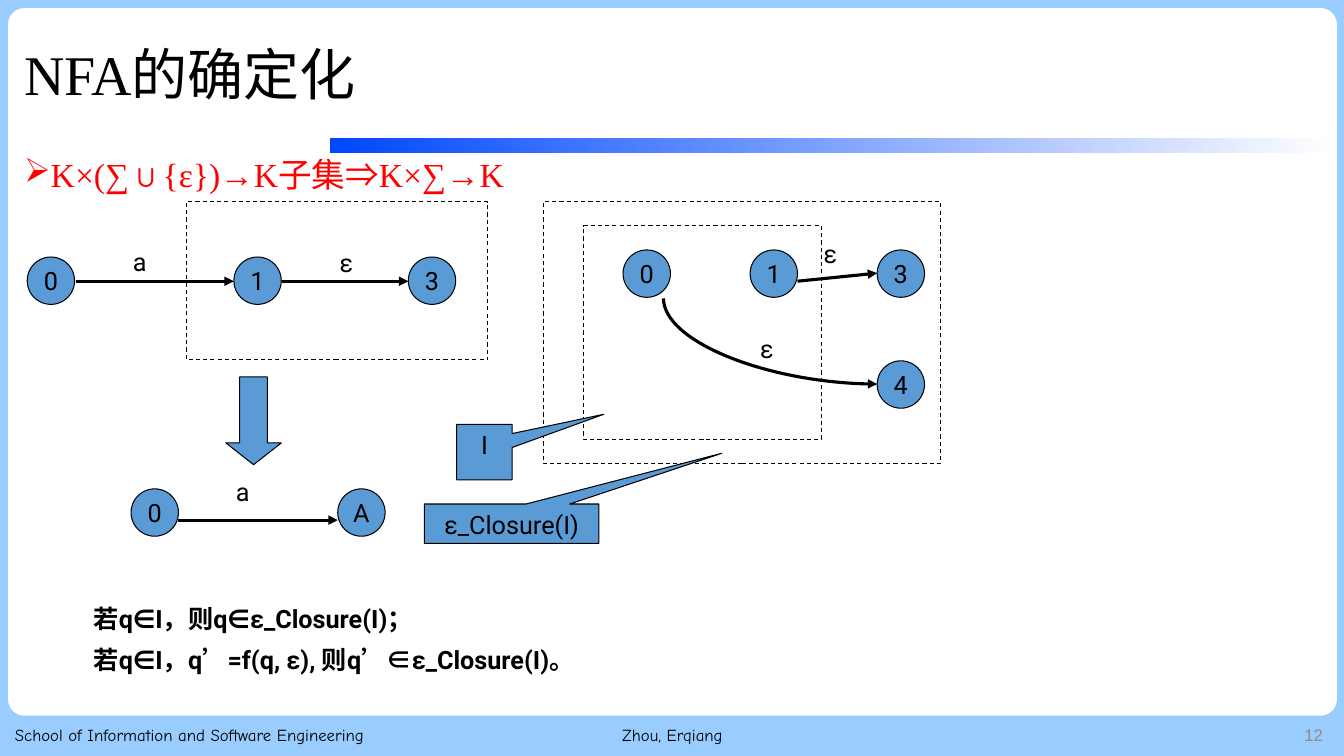
from lxml import etree
from pptx import Presentation
from pptx.dml.color import RGBColor
from pptx.enum.dml import MSO_LINE
from pptx.enum.shapes import MSO_CONNECTOR, MSO_SHAPE
from pptx.enum.text import MSO_ANCHOR, PP_ALIGN
from pptx.oxml.ns import qn
from pptx.util import Inches, Pt

BLACK = RGBColor(0x00, 0x00, 0x00)
WHITE = RGBColor(0xFF, 0xFF, 0xFF)
RED = RGBColor(0xFF, 0x00, 0x00)
GRAY = RGBColor(0x8C, 0x8C, 0x8C)
SKY = RGBColor(0x99, 0xCC, 0xFF)
ROYAL = RGBColor(0x00, 0x47, 0xFF)
STEEL = RGBColor(0x5B, 0x9B, 0xD5)

RECT, ROUND = MSO_SHAPE.RECTANGLE, MSO_SHAPE.ROUNDED_RECTANGLE
OVAL, DOWN = MSO_SHAPE.OVAL, MSO_SHAPE.DOWN_ARROW
BUBBLE = MSO_SHAPE.RECTANGULAR_CALLOUT
STRAIGHT, CURVE = MSO_CONNECTOR.STRAIGHT, MSO_CONNECTOR.CURVE
DASH = MSO_LINE.DASH
TOP, MIDDLE = MSO_ANCHOR.TOP, MSO_ANCHOR.MIDDLE
LEFT, CENTER, RIGHT = PP_ALIGN.LEFT, PP_ALIGN.CENTER, PP_ALIGN.RIGHT

SERIF, SANS, COMIC, HAN = "Times New Roman", "Roboto", "Comic Neue", "Noto Sans CJK SC"
NODE = 0.47


def write(shape, text, size=18, face=SANS, color=BLACK, align=LEFT,
          anchor=TOP, wrap=True, bold=False, spacing=None, bullet=None):
    frame = shape.text_frame
    frame.word_wrap = wrap
    frame.vertical_anchor = anchor
    para = frame.paragraphs[0]
    para.text = text
    para.alignment = align
    if spacing:
        para.line_spacing = spacing
    props = para._p.get_or_add_pPr()
    if bullet:
        props.set("marL", str(Inches(0.25)))
        props.set("indent", str(Inches(-0.25)))
        etree.SubElement(props, qn("a:buChar")).set("char", bullet)
    font = para.font
    font.size, font.name, font.bold = Pt(size), face, bold
    font.color.rgb = color
    etree.SubElement(props.find(qn("a:defRPr")), qn("a:ea")).set("typeface", HAN)


def label(slide, x, y, w, h, text, **style):
    box = slide.shapes.add_textbox(Inches(x), Inches(y), Inches(w), Inches(h))
    write(box, text, **style)


def block(slide, kind, x, y, w, h, fill=STEEL, line=BLACK, adjust=()):
    shape = slide.shapes.add_shape(kind, Inches(x), Inches(y), Inches(w), Inches(h))
    shape.shadow.inherit = False
    if fill is None:
        shape.fill.background()
    else:
        shape.fill.solid()
        shape.fill.fore_color.rgb = fill
    if line is None:
        shape.line.fill.background()
    else:
        shape.line.color.rgb = line
        shape.line.width = Pt(0.75)
    for index, value in enumerate(adjust):
        shape.adjustments[index] = value
    return shape


def dashed(slide, x, y, w, h):
    block(slide, RECT, x, y, w, h, fill=None).line.dash_style = DASH


def node(slide, x, y, name):
    write(block(slide, OVAL, x, y, NODE, NODE), name,
          align=CENTER, anchor=MIDDLE, wrap=False)


def arrow(slide, x1, y1, x2, y2, kind=STRAIGHT):
    link = slide.shapes.add_connector(kind, Inches(x1), Inches(y1), Inches(x2), Inches(y2))
    link.line.color.rgb = BLACK
    link.line.width = Pt(2.25)
    etree.SubElement(link.line._get_or_add_ln(), qn("a:tailEnd")).set("type", "triangle")
    etree.SubElement(link._element.spPr, qn("a:effectLst"))
    return link


def bend(slide, x1, y1, x2, y2):
    w, h = y2 - y1, x2 - x1
    x, y = (x1 + x2 - w) / 2, (y1 + y2 - h) / 2
    link = arrow(slide, x + w, y, x, y + h, CURVE)
    props = link._element.spPr
    props.find(qn("a:xfrm")).set("rot", str(270 * 60000))
    props.find(qn("a:prstGeom")).set("prst", "curvedConnector2")


def mark(slide, x, y, text):
    label(slide, x, y, 0.39, 0.4, text)


def callout(slide, x, y, w, h, text, adjust):
    write(block(slide, BUBBLE, x, y, w, h, adjust=adjust), text, align=CENTER)


def backdrop(slide, x, y, w, h):
    slide.background.fill.solid()
    slide.background.fill.fore_color.rgb = SKY
    block(slide, ROUND, x, y, w, h, fill=WHITE, line=None, adjust=[0.023])
    bar = block(slide, RECT, x + 3.19, y + 1.29, w - 3.19, 0.15, line=None)
    bar.fill.gradient()
    bar.fill.gradient_angle = 0
    for stop, color, place in zip(bar.fill.gradient_stops, (ROYAL, WHITE), (0, 1)):
        stop.color.rgb = color
        stop.position = place


def heading(slide, x, y, w):
    label(slide, x, y, w, 1.24, "NFA的确定化", size=40, face=SERIF,
          anchor=MIDDLE, spacing=0.9)
    label(slide, x, y + 1.37, w, 0.5, "K×(∑∪{ε})→K子集⇒K×∑→K", size=24,
          face=SERIF, color=RED, spacing=0.9, bullet="➢")


def footer(slide, y, h):
    for x, w, text, face, color, align in (
        (0.05, 4.32, "School of Information and Software Engineering", COMIC, BLACK, LEFT),
        (4.42, 4.5, "Zhou, Erqiang", COMIC, BLACK, CENTER),
        (10.22, 3, "12", "Arial", GRAY, RIGHT),
    ):
        label(slide, x, y, w, h, text, size=12, face=face, color=color,
              align=align, anchor=MIDDLE)


def merge(slide, x, y):
    for dx, dy, name in ((0, 0.55, "0"), (2.05, 0.55, "1"), (3.78, 0.55, "3"),
                         (1.03, 2.85, "0"), (3.08, 2.85, "A")):
        node(slide, x + dx, y + dy, name)
    for start, end, dy in ((0.48, 2.05, 0.79), (2.53, 3.78, 0.79), (1.5, 3.08, 3.16)):
        arrow(slide, x + start, y + dy, x + end, y + dy)
    for dx, dy, text in ((0.95, 0.39, "a"), (3, 0.4, "ε"), (1.97, 2.68, "a")):
        mark(slide, x + dx, y + dy, text)
    dashed(slide, x + 1.58, y, 2.99, 1.57)
    block(slide, DOWN, x + 1.97, y + 1.74, 0.55, 0.87, adjust=[0.5, 0.392])


def closure(slide, x, y, w, h):
    dashed(slide, x, y, w, h)
    dashed(slide, x + 0.4, y + 0.24, 2.36, 2.12)
    for index, name in enumerate("013"):
        node(slide, x + 0.79 + 1.26 * index, y + 0.48, name)
    node(slide, x + 3.31, y + 1.58, "4")
    arrow(slide, x + 2.52, y + 0.79, x + 3.31, y + 0.71)
    bend(slide, x + 1.19, y + 0.96, x + 3.31, y + 1.81)
    mark(slide, x + 2.68, y + 0.32, "ε")
    mark(slide, x + 2.05, y + 1.26, "ε")
    callout(slide, x - 0.86, y + 2.21, 0.55, 0.55, "I", [2.154, -0.682])
    callout(slide, x - 1.18, y + 3, 1.73, 0.39, "ε_Closure(I)", [1.206, -1.791])


def rules(slide, x, y, w):
    for index, text in enumerate(("若q∈I，则q∈ε_Closure(I)；",
                                  "若q∈I，q’=f(q, ε), 则q’∈ε_Closure(I)。")):
        label(slide, x, y + 0.4 * index, w, 0.4, text, bold=True)


def main():
    deck = Presentation()
    deck.slide_width, deck.slide_height = Inches(13.33), Inches(7.5)
    slide = deck.slides.add_slide(deck.slide_layouts[6])
    backdrop(slide, 0.08, 0.08, 13.18, 7.02)
    heading(slide, 0.14, 0.15, 12.57)
    footer(slide, 7.09, 0.4)
    merge(slide, 0.27, 2)
    closure(slide, 5.39, 2, 3.94, 2.6)
    rules(slide, 0.83, 5.94, 6.3)
    deck.save("out.pptx")


if __name__ == "__main__":
    main()
